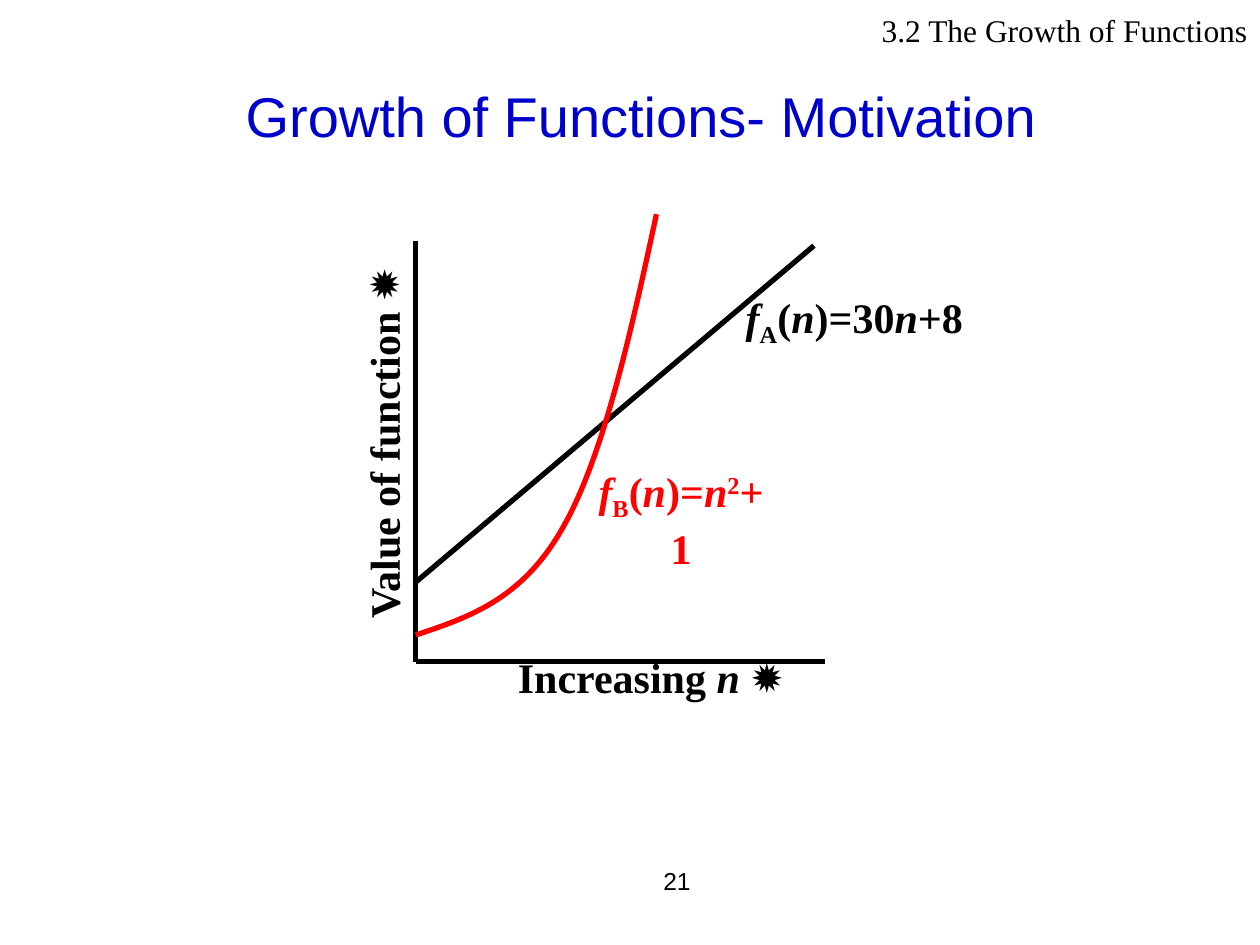
from lxml import etree
from pptx import Presentation
from pptx.dml.color import RGBColor
from pptx.enum.shapes import MSO_CONNECTOR
from pptx.enum.text import MSO_ANCHOR, MSO_AUTO_SIZE, PP_ALIGN
from pptx.oxml.ns import qn
from pptx.util import Inches, Pt

LEFT, MID, RIGHT = PP_ALIGN.LEFT, PP_ALIGN.CENTER, PP_ALIGN.RIGHT
TOP, CORE = MSO_ANCHOR.TOP, MSO_ANCHOR.MIDDLE
FIT, FIXED = MSO_AUTO_SIZE.SHAPE_TO_FIT_TEXT, MSO_AUTO_SIZE.NONE
STRAIGHT = MSO_CONNECTOR.STRAIGHT

COLORS = {"ink": "000000", "title": "0000CC", "curve": "FF0000"}
SANS, SERIF = "Arial", "Times New Roman"
BASE = {"sub": "-25000", "sup": "30000"}


def color(name):
    return RGBColor.from_string(COLORS[name])


def write(frame, runs, size=24, font=SERIF, ink="ink", bold=False,
          align=MID, anchor=CORE, wrap=False, fit=FIT):
    """Fill a frame with (text, mark) runs; mark is "", "it", "sub" or "sup"."""
    frame.auto_size, frame.word_wrap = fit, wrap
    frame.vertical_anchor = anchor
    para = frame.paragraphs[0]
    para.alignment = align
    for text, mark in runs:
        run = para.add_run()
        run.text = text
        run.font.size, run.font.name = Pt(size), font
        run.font.bold, run.font.italic = bold, mark == "it"
        run.font.color.rgb = color(ink)
        if mark in BASE:
            run._r.get_or_add_rPr().set("baseline", BASE[mark])


class Deck:
    def __init__(self):
        self.show = Presentation()
        self.show.slide_width, self.show.slide_height = Inches(10), Inches(7.5)
        self.slide = self.show.slides.add_slide(self.show.slide_layouts[5])
        self.shapes = self.slide.shapes

    def title(self, text, x, y, w, h):
        box = self.shapes.title
        box.left, box.top, box.width, box.height = map(Inches, (x, y, w, h))
        write(box.text_frame, [(text, "")], size=32, font=SANS, ink="title",
              anchor=TOP, wrap=True, fit=FIXED)

    def label(self, runs, x, y, w, h, turn=0, **style):
        box = self.shapes.add_textbox(*map(Inches, (x, y, w, h)))
        box.rotation = turn
        write(box.text_frame, runs, **style)

    def stroke(self, shape, ink):
        shape.line.color.rgb = color(ink)
        shape.line.width = Pt(3)

    def line(self, start, end, ink="ink"):
        link = self.shapes.add_connector(STRAIGHT, *map(Inches, start + end))
        self.stroke(link, ink)
        etree.SubElement(link._element.spPr, qn("a:effectLst"))

    def curve(self, points, ink):
        """Draw cubic curves: a start, then two handles and an end for each."""
        spots = [(Inches(x), Inches(y)) for x, y in points]
        pen = self.shapes.build_freeform(*spots[0])
        pen.add_line_segments(spots[1:], close=False)
        shape = pen.convert_to_shape()
        shape.shadow.inherit = False
        shape.fill.background()
        self.stroke(shape, ink)
        # Join every three straight steps into one cubic step
        steps = list(shape._element.iter(qn("a:lnTo")))
        for i in range(0, len(steps), 3):
            cubic = etree.SubElement(steps[i].getparent(), qn("a:cubicBezTo"))
            for step in steps[i:i + 3]:
                cubic.append(step[0])
                step.getparent().remove(step)


def main():
    deck = Deck()

    # Header, title and page number
    deck.label([("3.2 The Growth of Functions", "")], 6, 0.04, 4, 0.4,
               size=18, align=RIGHT, anchor=TOP, wrap=True)
    deck.title("Growth of Functions- Motivation", 0.59, 0.6, 9, 1.25)
    deck.label([("21", "")], 3.5, 6.74, 2.08, 0.5,
               size=14, font=SANS, align=RIGHT, fit=FIXED)

    # Axes and the two functions
    origin = (3.3, 5.25)
    deck.line(origin, (3.3, 1.91))
    deck.line(origin, (6.55, 5.25))
    deck.line((3.3, 4.62), (6.46, 1.95))
    deck.curve([(3.3, 5.04), (3.72, 4.9), (4.14, 4.76), (4.46, 4.2),
                (4.78, 3.65), (5, 2.68), (5.21, 1.7)], "curve")

    # Function labels
    deck.label([("f", "it"), ("A", "sub"), ("(", ""), ("n", "it"),
                (")=30", ""), ("n", "it"), ("+8", "")],
               5.82, 2.26, 1.92, 0.56, bold=True)
    deck.label([("f", "it"), ("B", "sub"), ("(", ""), ("n", "it"),
                (")=", ""), ("n", "it"), ("2", "sup"), ("+1", "")],
               4.57, 3.84, 1.67, 0.56, bold=True, ink="curve")

    # Axis labels
    deck.label([("Increasing ", ""), ("n ", "it"), ("✹", "")],
               4.01, 5.12, 2.31, 0.5, bold=True)
    deck.label([("Value of function ✹", "")],
               1.54, 3.27, 3, 0.5, turn=270, bold=True)

    deck.show.save("out.pptx")


if __name__ == "__main__":
    main()
